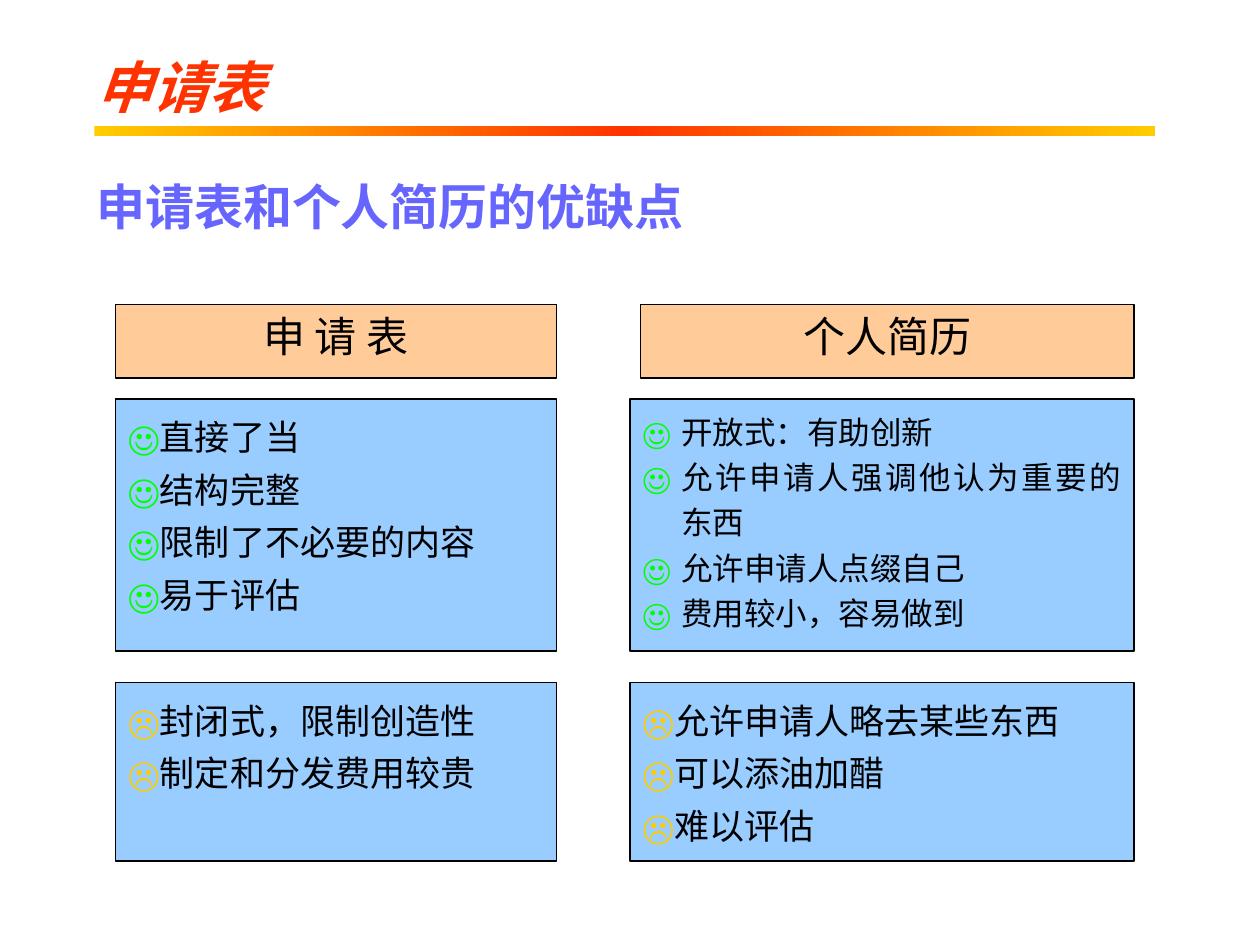
from copy import deepcopy
from dataclasses import dataclass

from pptx import Presentation, util as u
from pptx.dml.color import RGBColor
from pptx.enum import shapes, text
from pptx.oxml import ns, xmlchemy


@dataclass(frozen=True)
class Theme:
    sans: str = "Noto Sans CJK SC"
    serif: str = "Times New Roman"
    red: str = "FF3300"
    gold: str = "FFCC00"
    green: str = "00FF00"
    violet: str = "6666FF"
    black: str = "000000"
    peach: str = "FFCC99"
    blue: str = "99CCFF"
    title: int = 32
    sub: int = 28
    head: int = 24
    body: int = 20
    small: int = 18


T = Theme()
ALIGN = text.PP_ALIGN


def px(n):
    """120 px to the inch."""
    return u.Emu(n * 7620)


def rgb(code):
    return RGBColor.from_string(code)


def node(tag, **attrs):
    item = xmlchemy.OxmlElement(tag)
    for key, val in attrs.items():
        item.set(key, val)
    return item


def add_run(para, words, size, color, face=T.sans, bold=False, italic=False):
    run = para.add_run()
    run.text = words
    font = run.font
    font.size, font.name = u.Pt(size), face
    font.bold, font.italic = bold, italic
    font.color.rgb = rgb(color)
    font._element.find(ns.qn("a:latin")).addnext(
        node("a:ea", typeface=T.sans))


def add_mark(para, sign, color, indent):
    """Give the paragraph a coloured bullet."""
    props = para._p.get_or_add_pPr()
    props.set("marL", str(px(indent)))
    props.set("indent", str(-px(indent)))
    tint = node("a:buClr")
    tint.append(node("a:srgbClr", val=color))
    props.extend([tint, node("a:buFont", typeface=T.sans),
                  node("a:buChar", char=sign)])


def set_frame(shape):
    frame = shape.text_frame
    frame.word_wrap = True
    frame.auto_size = text.MSO_AUTO_SIZE.NONE
    frame.vertical_anchor = text.MSO_ANCHOR.TOP
    return frame


def add_panel(slide, box, fill):
    panel = slide.shapes.add_shape(shapes.MSO_SHAPE.RECTANGLE, *map(px, box))
    panel.shadow.inherit = False
    panel.fill.solid()
    panel.fill.fore_color.rgb = rgb(fill)
    panel.line.color.rgb = rgb(T.black)
    panel.line.width = u.Pt(0.75)
    return set_frame(panel)


def add_bar(slide, box):
    """Rule that fades from gold to red and back."""
    bar = slide.shapes.add_shape(shapes.MSO_SHAPE.RECTANGLE, *map(px, box))
    bar.shadow.inherit = False
    bar.line.fill.background()
    bar.fill.gradient()
    bar.fill.gradient_angle = 0
    for stop in bar.fill.gradient_stops:
        stop.color.rgb = rgb(T.gold)
    first = bar._element.spPr.find(".//" + ns.qn("a:gs"))
    mid = deepcopy(first)
    mid.set("pos", "50000")
    mid[0].set("val", T.red)
    first.addnext(mid)


def add_top(slide, box):
    """Title, rule and subtitle."""
    left, top, width, _ = box
    title = slide.shapes.title
    title.left, title.top, title.width, title.height = map(
        px, (left, top, 440, 77))
    para = set_frame(title).paragraphs[0]
    para.alignment = ALIGN.LEFT
    add_run(para, "申请表", T.title, T.red, bold=True, italic=True)

    add_bar(slide, (left + 10, top + 76, width - 10, 10))

    sub = slide.shapes.add_textbox(*map(px, (left, top + 118, 930, 68)))
    add_run(set_frame(sub).paragraphs[0], "申请表和个人简历的优缺点",
            T.sub, T.violet, bold=True)


def add_list(slide, box, lines, sign, color, size=T.body, space=1.25, indent=0):
    frame = add_panel(slide, box, T.blue)
    for i, line in enumerate(lines):
        para = frame.add_paragraph() if i else frame.paragraphs[0]
        para.alignment = ALIGN.JUSTIFY
        para.line_spacing = space
        add_mark(para, sign, color, indent)
        add_run(para, line, size, T.black)


def add_column(slide, box, head, pros, cons, inset=0, **style):
    """Heading above a panel of strengths and a panel of weaknesses."""
    left, top, width, _ = box
    frame = add_panel(slide, (left + inset, top, width - inset, 70), T.peach)
    para = frame.paragraphs[0]
    para.alignment = ALIGN.CENTER
    add_run(para, head, T.head, T.black, T.serif)
    add_list(slide, (left, top + 90, width, 240), pros, "☺", T.green, **style)
    add_list(slide, (left, top + 360, width, 170), cons, "☹", T.gold)


def main():
    deck = Presentation()
    deck.slide_width, deck.slide_height = px(1200), px(900)
    slide = deck.slides.add_slide(deck.slide_layouts[5])
    add_top(slide, (80, 44, 1020, 186))
    add_column(slide, (110, 290, 420, 530), "申 请 表",
               ["直接了当", "结构完整", "限制了不必要的内容", "易于评估"],
               ["封闭式，限制创造性", "制定和分发费用较贵"])
    add_column(slide, (600, 290, 480, 530), "个人简历",
               ["开放式：有助创新", "允许申请人强调他认为重要的东西",
                "允许申请人点缀自己", "费用较小，容易做到"],
               ["允许申请人略去某些东西", "可以添油加醋", "难以评估"],
               inset=10, size=T.small, space=1.2, indent=37)
    deck.save("out.pptx")


if __name__ == "__main__":
    main()
